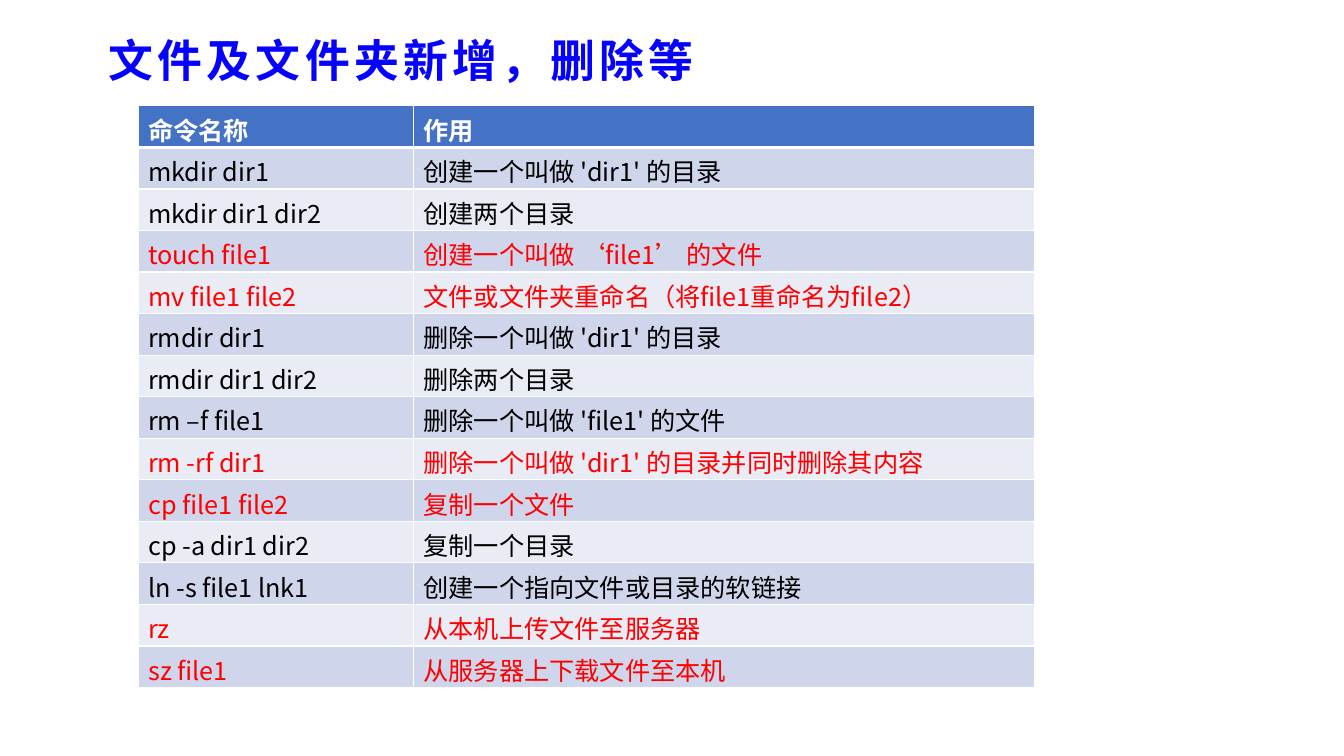
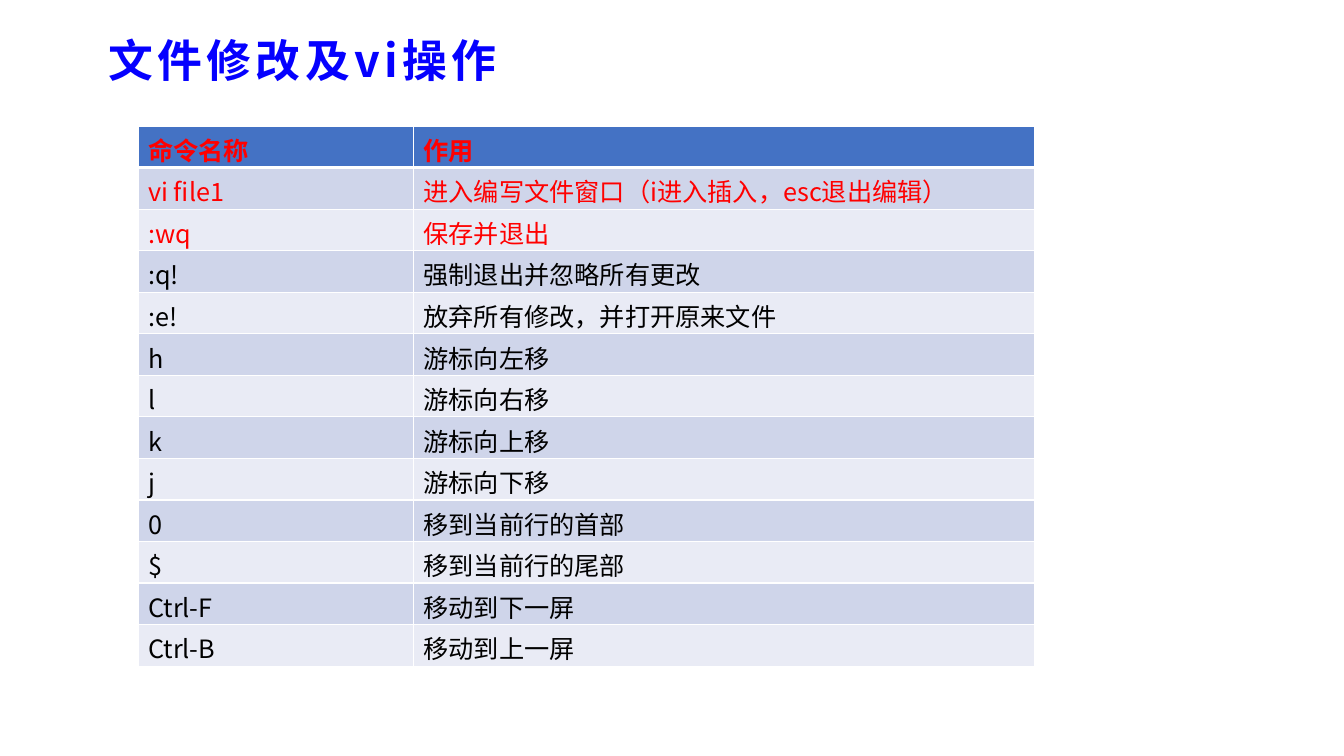
from lxml.etree import SubElement as Sub
from pptx import Presentation
from pptx.dml.color import RGBColor as Rgb
from pptx.enum.lang import MSO_LANGUAGE_ID as Lang
from pptx.enum.text import MSO_ANCHOR as Anchor, PP_ALIGN as Align
from pptx.oxml.ns import qn
from pptx.util import Inches, Pt

FONT = "Noto Sans CJK SC"
HEX = {
    "title": "0500FF", "head": "4472C4", "odd": "CFD5EA", "even": "E9EBF5",
    "text": "000000", "key": "FF0000", "white": "FFFFFF",
}

# Shared grid, in inches
WIDE, HIGH = 13.33, 7.5
LEFT, COLS = 1.37, (2.73, 6.16)
PITCH = 5.67 / 14

HEADS = ("命令名称", "作用")

# Each row: command, effect, colour name
FILES = [
    ("mkdir dir1", "创建一个叫做 'dir1' 的目录", "text"),
    ("mkdir dir1 dir2", "创建两个目录", "text"),
    ("touch file1", "创建一个叫做 ‘file1’ 的文件", "key"),
    ("mv file1 file2", "文件或文件夹重命名（将file1重命名为file2）", "key"),
    ("rmdir dir1", "删除一个叫做 'dir1' 的目录", "text"),
    ("rmdir dir1 dir2", "删除两个目录", "text"),
    ("rm –f file1", "删除一个叫做 'file1' 的文件", "text"),
    ("rm -rf dir1", "删除一个叫做 'dir1' 的目录并同时删除其内容", "key"),
    ("cp file1 file2", "复制一个文件", "key"),
    ("cp -a dir1 dir2", "复制一个目录", "text"),
    ("ln -s file1 lnk1", "创建一个指向文件或目录的软链接", "text"),
    ("rz", "从本机上传文件至服务器", "key"),
    ("sz file1", "从服务器上下载文件至本机", "key"),
]
EDITS = [
    ("vi file1", "进入编写文件窗口（i进入插入，esc退出编辑）", "key"),
    (":wq", "保存并退出", "key"),
    (":q!", "强制退出并忽略所有更改", "text"),
    (":e!", "放弃所有修改，并打开原来文件", "text"),
    ("h", "游标向左移", "text"),
    ("l", "游标向右移", "text"),
    ("k", "游标向上移", "text"),
    ("j", "游标向下移", "text"),
    ("0", "移到当前行的首部", "text"),
    ("$", "移到当前行的尾部", "text"),
    ("Ctrl-F", "移动到下一屏", "text"),
    ("Ctrl-B", "移动到上一屏", "text"),
]


def write(frame, text, size=18, color="text", bold=False, space=0):
    """Put one formatted run in a text frame."""
    para = frame.paragraphs[0]
    para.alignment = Align.LEFT
    run = para.add_run()
    run.text = text
    font = run.font
    font.name, font.size, font.bold = FONT, Pt(size), bold
    font.color.rgb = Rgb.from_string(HEX[color])
    font.language_id = Lang.SIMPLIFIED_CHINESE
    props = run._r.get_or_add_rPr()
    Sub(props, qn("a:ea"), typeface=FONT)
    if space:
        props.set("spc", str(space * 100))


def edge(cell, top=1, bottom=1):
    """Draw white borders, with widths in points."""
    props = cell._tc.get_or_add_tcPr()
    for side, width in (("L", 1), ("R", 1), ("T", top), ("B", bottom)):
        line = Sub(props, qn(f"a:ln{side}"), w=str(Pt(width)))
        fill = Sub(line, qn("a:solidFill"))
        Sub(fill, qn("a:srgbClr"), val=HEX["white"])


def title(slide, text):
    box = slide.shapes.title
    box.left, box.top = Inches(0.98), Inches(0.27)
    box.width, box.height = Inches(6.37), Inches(0.64)
    frame = box.text_frame
    frame.word_wrap = True
    frame.vertical_anchor = Anchor.MIDDLE
    write(frame, text, size=32, color="title", bold=True, space=3)


def grid(slide, top, rows, head):
    """Add the command table; head names the header's text colour."""
    lines = [(*HEADS, head), *rows]
    table = slide.shapes.add_table(
        len(lines), len(COLS), Inches(LEFT), Inches(top),
        Inches(sum(COLS)), Inches(PITCH * len(lines))).table
    for col, width in zip(table.columns, COLS):
        col.width = Inches(width)
    for i, (*texts, color) in enumerate(lines):
        table.rows[i].height = Inches(PITCH)
        band = "head" if i == 0 else "odd" if i % 2 else "even"
        for j, text in enumerate(texts):
            cell = table.cell(i, j)
            cell.margin_top, cell.margin_bottom = Inches(0.05), 0
            edge(cell, top=3 if i == 1 else 1, bottom=3 if i == 0 else 1)
            cell.fill.solid()
            cell.fill.fore_color.rgb = Rgb.from_string(HEX[band])
            write(cell.text_frame, text, color=color, bold=i == 0)


def main():
    deck = Presentation()
    deck.slide_width, deck.slide_height = Inches(WIDE), Inches(HIGH)
    pages = [
        ("文件及文件夹新增，删除等", 1.05, FILES, "white"),
        ("文件修改及vi操作", 1.25, EDITS, "key"),
    ]
    for name, top, rows, head in pages:
        slide = deck.slides.add_slide(deck.slide_layouts[5])
        title(slide, name)
        grid(slide, top, rows, head)
    deck.save("out.pptx")


if __name__ == "__main__":
    main()
